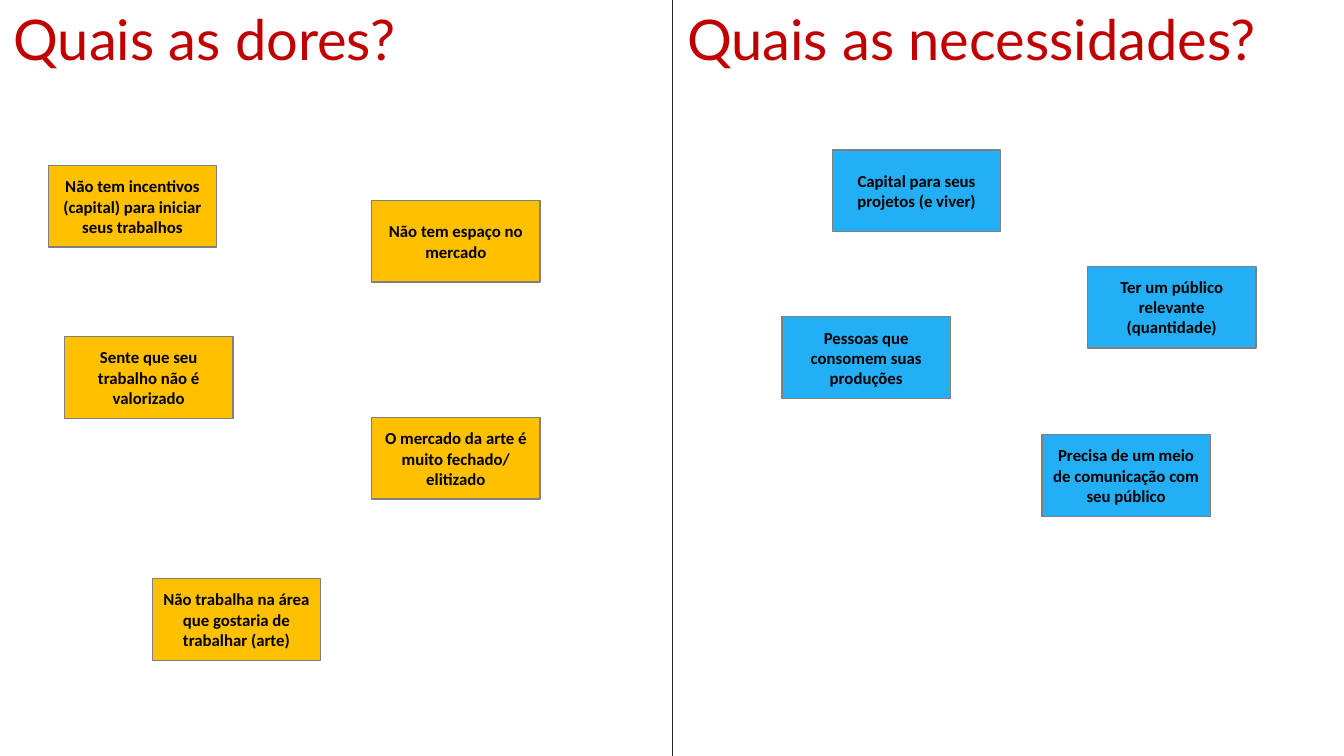
from lxml.etree import SubElement
from pptx import Presentation
from pptx.dml.color import RGBColor
from pptx.enum.shapes import MSO_CONNECTOR, MSO_SHAPE
from pptx.enum.text import MSO_ANCHOR, MSO_AUTO_SIZE, PP_ALIGN
from pptx.oxml.ns import qn
from pptx.util import Cm, Pt

COLORS = {
    "heading": "C00000",
    "pain": "FFC000",
    "need": "23AFF5",
    "border": "808080",
    "divider": "262626",
    "note_text": "000000",
}
SLIDE_W, SLIDE_H = 33.87, 19.05
MIDDLE = SLIDE_W / 2
NOTE_W, NOTE_H = 4.24, 2.06
HEADING_H = 1.96

# Each half: heading, heading width, note colour, notes as (text, left, top) in cm
HALVES = [
    ("Quais as dores?", 10.31, "pain", [
        ("Não tem incentivos (capital) para iniciar seus trabalhos", 1.22, 4.17),
        ("Não tem espaço no mercado", 9.37, 5.05),
        ("Sente que seu trabalho não é valorizado", 1.63, 8.48),
        ("O mercado da arte é muito fechado/ elitizado", 9.37, 10.52),
        ("Não trabalha na área que gostaria de trabalhar (arte)", 3.84, 14.58),
    ]),
    ("Quais as necessidades?", 15.09, "need", [
        ("Capital para seus projetos (e viver)", 20.98, 3.78),
        ("Ter um público relevante (quantidade)", 27.41, 6.71),
        ("Pessoas que consomem suas produções", 19.71, 7.98),
        ("Precisa de um meio de comunicação com seu público", 26.26, 10.95),
    ]),
]


def color(name):
    """Return the named palette colour."""
    return RGBColor.from_string(COLORS[name])


def write(frame, text, font_name, size, color_name, bold=False):
    """Put one centred paragraph into a text frame."""
    paragraph = frame.paragraphs[0]
    paragraph.text = text
    paragraph.alignment = PP_ALIGN.CENTER
    font = paragraph.font
    font.name, font.size, font.bold = font_name, Pt(size), bold
    font.color.rgb = color(color_name)


def add_divider(slide):
    """Draw the vertical line between the halves."""
    divider = slide.shapes.add_connector(
        MSO_CONNECTOR.STRAIGHT, Cm(MIDDLE), Cm(SLIDE_H), Cm(MIDDLE), Cm(0))
    divider.line.color.rgb = color("divider")
    divider.line.width = Pt(0.5)
    SubElement(divider._element.spPr, qn("a:effectLst"))


def add_heading(slide, text, left, width):
    """Write the heading at the top of a half."""
    heading = slide.shapes.add_textbox(Cm(left), Cm(0), Cm(width), Cm(HEADING_H))
    frame = heading.text_frame
    frame.word_wrap = False
    frame.auto_size = MSO_AUTO_SIZE.SHAPE_TO_FIT_TEXT
    write(frame, text, "Lato", 40, "heading")


def add_note(slide, text, left, top, fill):
    """Place one sticky note."""
    note = slide.shapes.add_shape(
        MSO_SHAPE.RECTANGLE, Cm(left), Cm(top), Cm(NOTE_W), Cm(NOTE_H))
    note.shadow.inherit = False
    note.fill.solid()
    note.fill.fore_color.rgb = color(fill)
    note.line.color.rgb = color("border")
    note.line.width = Pt(1)
    frame = note.text_frame
    frame.word_wrap = True
    frame.vertical_anchor = MSO_ANCHOR.MIDDLE
    write(frame, text, "Calibri", 12, "note_text", bold=True)


prs = Presentation()
prs.slide_width, prs.slide_height = Cm(SLIDE_W), Cm(SLIDE_H)
board = prs.slides.add_slide(prs.slide_layouts[6])

add_divider(board)
for half, (heading, heading_width, note_color, notes) in enumerate(HALVES):
    add_heading(board, heading, half * MIDDLE, heading_width)
    for text, left, top in notes:
        add_note(board, text, left, top, note_color)

prs.save("out.pptx")
